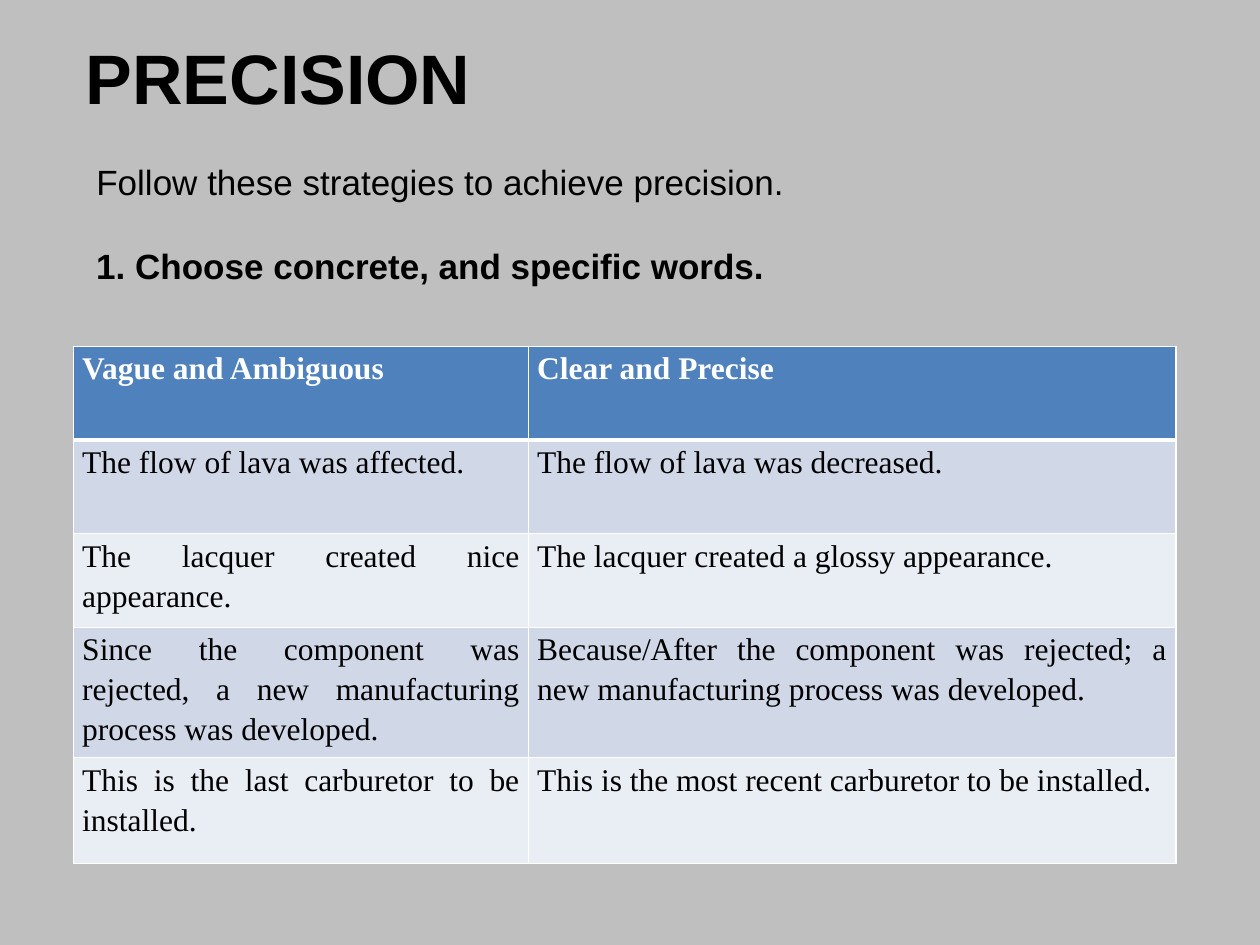
from lxml import etree
from pptx import Presentation
from pptx.dml.color import RGBColor
from pptx.enum.text import MSO_ANCHOR, PP_ALIGN
from pptx.oxml.ns import qn
from pptx.util import Pt

BLACK = RGBColor(0x00, 0x00, 0x00)
WHITE = RGBColor(0xFF, 0xFF, 0xFF)
GREY = RGBColor(0xBF, 0xBF, 0xBF)
BLUE = RGBColor(0x4F, 0x81, 0xBD)
BAND_DARK = RGBColor(0xD0, 0xD8, 0xE8)
BAND_LIGHT = RGBColor(0xE9, 0xED, 0xF4)

ROWS = [
    ("Vague and Ambiguous", "Clear and Precise"),
    ("The flow of lava was affected.", "The flow of lava was decreased."),
    ("The lacquer created nice\vappearance.",
     "The lacquer created a glossy appearance."),
    ("Since the component was\vrejected, a new manufacturing process was developed.",
     "Because/After the component was rejected; a\vnew manufacturing process was developed."),
    ("This is the last carburetor to be\vinstalled.",
     "This is the most recent carburetor to be installed."),
]
COL_WIDTHS = (260, 370)
ROW_HEIGHTS = (53.5, 53.5, 53.5, 60.5, 60.5)


def set_text(tf, text, color, **formats):
    """Fill a text frame with one paragraph and format its runs."""
    tf.text = text
    p = tf.paragraphs[0]
    for r in p.runs:
        r.font.color.rgb = color
        for name, value in formats.items():
            setattr(r.font, name, value)
    return p


def add_text(s, box, text, size, bold=False, anchor=MSO_ANCHOR.MIDDLE,
             left=7.2, top=3.6):
    """Place one line of Arial text in the given box."""
    tf = s.shapes.add_textbox(*map(Pt, box)).text_frame
    frame = dict(word_wrap=True, vertical_anchor=anchor,
                 margin_left=Pt(left), margin_top=Pt(top))
    for name, value in frame.items():
        setattr(tf, name, value)
    set_text(tf, text, BLACK, size=Pt(size), bold=bold, name="Arial")


def add_borders(cell, bottom):
    """Draw white borders around a cell, with its own bottom width."""
    tc_pr = cell._tc.get_or_add_tcPr()
    for i, (side, width) in enumerate(zip("LRTB", (1, 1, 1, bottom))):
        ln = etree.Element(qn(f"a:ln{side}"), w=str(Pt(width)))
        fill = etree.SubElement(ln, qn("a:solidFill"))
        etree.SubElement(fill, qn("a:srgbClr"), val=str(WHITE))
        tc_pr.insert(i, ln)


def add_word_table(s, left, top):
    """Place the table of vague and precise wording."""
    table = s.shapes.add_table(len(ROWS), len(COL_WIDTHS), Pt(left), Pt(top),
                               Pt(sum(COL_WIDTHS)), Pt(sum(ROW_HEIGHTS))).table
    for column, width in zip(table.columns, COL_WIDTHS):
        column.width = Pt(width)
    margins = dict(margin_left=Pt(5), margin_right=Pt(5),
                   margin_top=0, margin_bottom=0)
    for i, (texts, height) in enumerate(zip(ROWS, ROW_HEIGHTS)):
        table.rows[i].height = Pt(height)
        header = i == 0
        band = BLUE if header else BAND_DARK if i % 2 else BAND_LIGHT
        for j, text in enumerate(texts):
            cell = table.cell(i, j)
            for name, value in margins.items():
                setattr(cell, name, value)
            cell.fill.solid()
            cell.fill.fore_color.rgb = band
            add_borders(cell, 3 if header else 1)
            p = set_text(cell.text_frame, text, WHITE if header else BLACK,
                         size=Pt(18), bold=header, name="Times New Roman")
            p.alignment = PP_ALIGN.JUSTIFY
            p.line_spacing = 1.15


def main():
    """Build the precision slide."""
    prs = Presentation()
    prs.slide_width, prs.slide_height = Pt(720), Pt(540)
    s = prs.slides.add_slide(prs.slide_layouts[6])
    s.background.fill.solid()
    s.background.fill.fore_color.rgb = GREY
    add_text(s, (42, 1.5, 678, 84), "PRECISION", 40, bold=True)
    add_text(s, (48, 83.5, 636.5, 36),
             "Follow these strategies to achieve precision.", 20, top=7.6)
    add_text(s, (24, 132, 636.5, 283.5),
             "1. Choose concrete, and specific words.", 20, bold=True,
             anchor=MSO_ANCHOR.TOP, left=31, top=7.6)
    add_word_table(s, 42, 198)
    prs.save("out.pptx")


if __name__ == "__main__":
    main()
